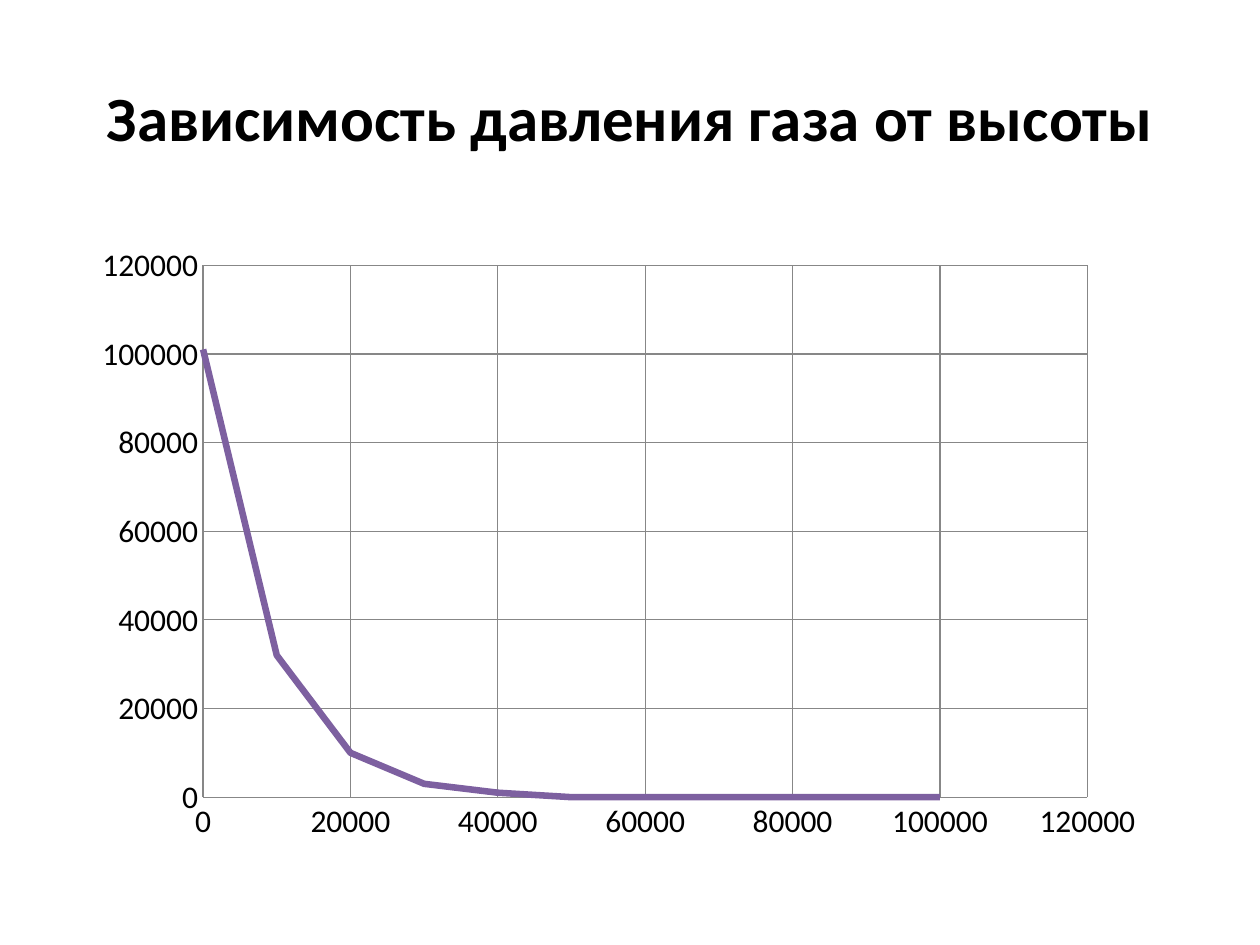
from dataclasses import dataclass

from lxml.etree import SubElement
from pptx import Presentation
from pptx.chart.data import XyChartData
from pptx.dml.color import RGBColor
from pptx.enum.chart import XL_CHART_TYPE, XL_MARKER_STYLE, XL_TICK_MARK
from pptx.enum.text import MSO_ANCHOR, PP_ALIGN
from pptx.oxml.ns import qn
from pptx.util import Inches, Pt


@dataclass
class Box:
    left: float
    top: float
    width: float
    height: float

    def lengths(self) -> list:
        return [Inches(v) for v in (self.left, self.top, self.width, self.height)]


TITLE_BOX = Box(0.5, 0.3, 9, 1.25)
CHART_BOX = Box(0.67, 1.86, 8.56, 4.91)
PLOT_AREA = {"x": 0.11, "y": 0.05, "w": 0.82, "h": 0.86}
PRESSURES = [101000, 32000, 10000, 3000, 1000, 0, 0, 0, 0, 0, 0]
HEIGHT_STEP = 10000
TITLE_FONT = {"name": "Calibri", "size": Pt(36), "bold": True}
CHART_FONT = {"name": "Calibri", "size": Pt(18), "bold": False}
AXIS_FORMAT = {
    "minimum_scale": 0,
    "maximum_scale": 120000,
    "major_unit": 20000,
    "has_major_gridlines": True,
    "major_tick_mark": XL_TICK_MARK.NONE,
    "minor_tick_mark": XL_TICK_MARK.NONE,
    "has_title": False,
}


def rgb(value: str) -> RGBColor:
    return RGBColor.from_string(value)


def set_attrs(obj, values: dict) -> None:
    for name, value in values.items():
        setattr(obj, name, value)


def set_font(font, values: dict) -> None:
    set_attrs(font, values)
    font.color.rgb = rgb("000000")


def set_line(line, color: str, width: float) -> None:
    line.color.rgb = rgb(color)
    line.width = Pt(width)


def set_plot_area(chart, fractions: dict) -> None:
    area = chart._chartSpace.chart.plotArea
    layout = area.find(qn("c:layout"))
    if layout is None:
        layout = SubElement(area, qn("c:layout"))
        area.insert(0, layout)
    manual = SubElement(layout, qn("c:manualLayout"))
    settings = {"layoutTarget": "inner", "xMode": "edge", "yMode": "edge", **fractions}
    for tag, value in settings.items():
        SubElement(manual, qn(f"c:{tag}")).set("val", str(value))


def add_title(s, text: str) -> None:
    sp = s.shapes.title
    sp.left, sp.top, sp.width, sp.height = TITLE_BOX.lengths()
    tf = sp.text_frame
    set_attrs(tf, {"word_wrap": True, "vertical_anchor": MSO_ANCHOR.MIDDLE})
    p = tf.paragraphs[0]
    p.alignment = PP_ALIGN.CENTER
    r = p.add_run()
    r.text = text
    set_font(r.font, TITLE_FONT)


def add_pressure_chart(s) -> None:
    data = XyChartData()
    points = data.add_series("Series 1")
    for i, pressure in enumerate(PRESSURES):
        points.add_data_point(i * HEIGHT_STEP, pressure)
    chart = s.shapes.add_chart(
        XL_CHART_TYPE.XY_SCATTER_SMOOTH_NO_MARKERS, *CHART_BOX.lengths(), data
    ).chart
    set_attrs(chart, {"has_legend": False, "has_title": False})
    set_font(chart.font, CHART_FONT)
    set_plot_area(chart, PLOT_AREA)
    chart.plots[0].vary_by_categories = False
    for axis in (chart.category_axis, chart.value_axis):
        set_attrs(axis, AXIS_FORMAT)
        set_attrs(axis.tick_labels, {"number_format": "0", "number_format_is_linked": False})
        set_line(axis.format.line, "878787", 0.75)
        set_line(axis.major_gridlines.format.line, "878787", 0.75)
    series = chart.plots[0].series[0]
    series.smooth = True
    series.marker.style = XL_MARKER_STYLE.NONE
    set_line(series.format.line, "7D60A0", 3.75)


def main() -> None:
    prs = Presentation()
    set_attrs(prs, {"slide_width": Inches(10), "slide_height": Inches(7.5)})
    s = prs.slides.add_slide(prs.slide_layouts[5])
    add_title(s, "Зависимость давления газа от высоты")
    add_pressure_chart(s)
    prs.save("out.pptx")


if __name__ == "__main__":
    main()
